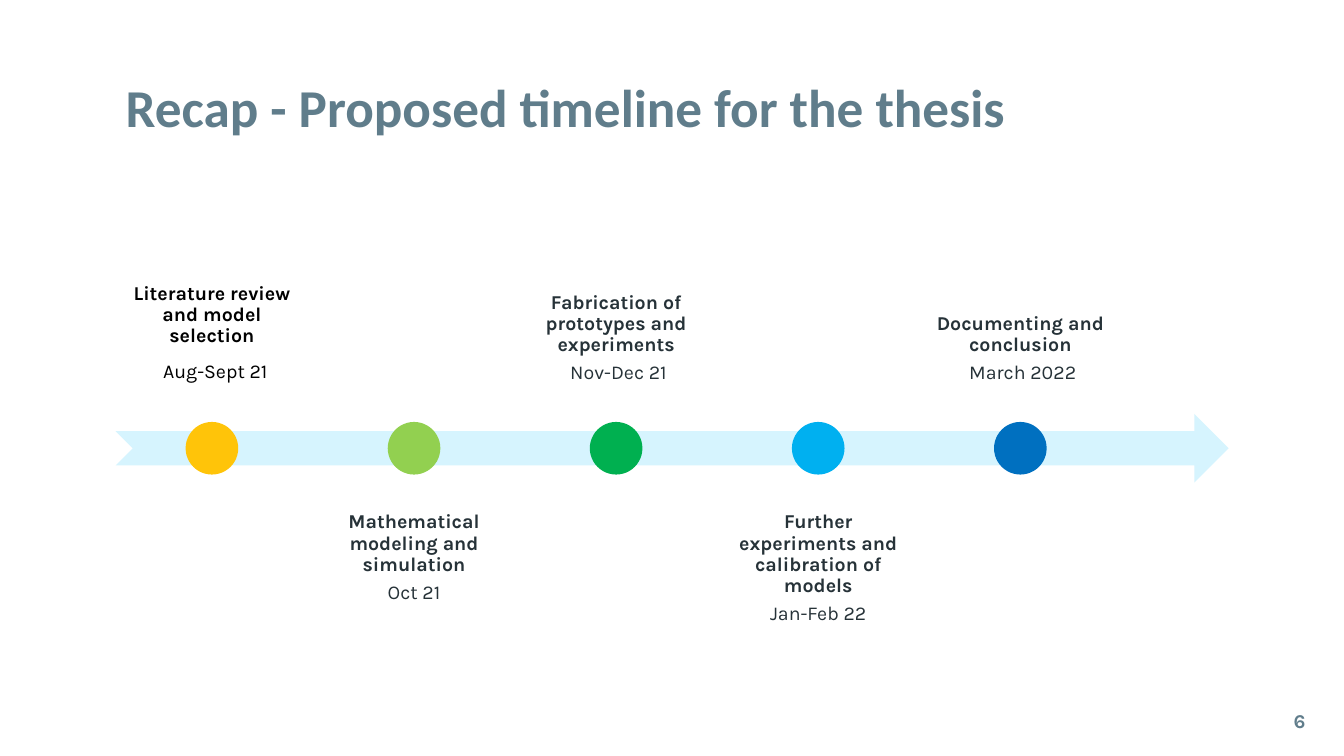
from pptx import Presentation
from pptx.dml.color import RGBColor
from pptx.enum.shapes import MSO_SHAPE as Shape
from pptx.enum.text import MSO_ANCHOR as Anchor, MSO_AUTO_SIZE as AutoSize, PP_ALIGN as Align
from pptx.util import Pt

SLATE = "607D8B"
INK = "263238"
TIMELINE_LEFT, TIMELINE_WIDTH = 82.6, 795
AXIS_Y = 320.2
ARROW_HEIGHT = 49
DOT_SIZE = 37.6
FIRST_CENTER, STEP = 151.4, 144.36
LABEL_WIDTH, LABEL_HEIGHT = 137.5, 149.8
LABEL_ABOVE, LABEL_BELOW = 132.5, 357.8

MILESTONES = [
    ("Literature review and model selection", [(" ", 20), ("Aug-Sept 21", 14)], "FFC409", "000000"),
    ("Mathematical modeling and simulation", [("Oct 21", 14)], "92D050", INK),
    ("Fabrication of prototypes and experiments", [(" Nov-Dec 21", 14)], "00B050", INK),
    ("Further experiments and calibration of models", [("Jan-Feb 22", 14)], "00B0F0", INK),
    ("Documenting and conclusion", [(" March 2022", 14)], "0070C0", INK),
]


def color(hex_code):
    return RGBColor.from_string(hex_code)


def add_run(paragraph, text, size, ink, bold=True, font="Karla"):
    run = paragraph.add_run()
    run.text = text
    run.font.name = font
    run.font.size = Pt(size)
    run.font.bold = bold
    run.font.color.rgb = color(ink)


def format_frame(frame, inset, anchor):
    frame.word_wrap = True
    frame.auto_size = AutoSize.NONE
    frame.vertical_anchor = anchor
    frame.margin_left = frame.margin_right = Pt(inset)
    frame.margin_top = frame.margin_bottom = Pt(inset)


def add_text_frame(slide, left, top, width, height, inset, anchor):
    box = slide.shapes.add_textbox(Pt(left), Pt(top), Pt(width), Pt(height))
    format_frame(box.text_frame, inset, anchor)
    return box.text_frame


def add_filled(slide, kind, left, top, width, height, fill):
    figure = slide.shapes.add_shape(kind, Pt(left), Pt(top), Pt(width), Pt(height))
    figure.shadow.inherit = False
    figure.fill.solid()
    figure.fill.fore_color.rgb = color(fill)
    figure.line.fill.background()


def add_title(slide, text):
    title = slide.shapes.title
    title.left, title.top = Pt(TIMELINE_LEFT), Pt(32.4)
    title.width, title.height = Pt(TIMELINE_WIDTH), Pt(73.4)
    format_frame(title.text_frame, 7.2, Anchor.BOTTOM)
    heading = title.text_frame.paragraphs[0]
    heading.alignment = Align.LEFT
    add_run(heading, text, 38, SLATE, font="Calibri")


def format_label_line(paragraph):
    paragraph.alignment = Align.CENTER
    paragraph.line_spacing = 0.9
    paragraph.space_after = Pt(4.9)


def add_milestone(slide, index, task, date_parts, dot_fill, ink):
    center = FIRST_CENTER + index * STEP
    above = index % 2 == 0
    label = add_text_frame(
        slide, center - LABEL_WIDTH / 2, LABEL_ABOVE if above else LABEL_BELOW,
        LABEL_WIDTH, LABEL_HEIGHT, 7.9, Anchor.BOTTOM if above else Anchor.TOP)
    task_line, date_line = label.paragraphs[0], label.add_paragraph()
    format_label_line(task_line)
    format_label_line(date_line)
    add_run(task_line, task, 14, ink)
    for text, size in date_parts:
        add_run(date_line, text, size, ink, bold=False)
    add_filled(slide, Shape.OVAL, center - DOT_SIZE / 2, AXIS_Y - DOT_SIZE / 2,
               DOT_SIZE, DOT_SIZE, dot_fill)


def add_page_number(slide, number):
    frame = add_text_frame(slide, 882, 499, 57.6, 41, 7.2, Anchor.TOP)
    frame.paragraphs[0].alignment = Align.RIGHT
    add_run(frame.paragraphs[0], number, 14, SLATE)


def main():
    deck = Presentation()
    deck.slide_width, deck.slide_height = Pt(960), Pt(540)
    slide = deck.slides.add_slide(deck.slide_layouts[5])
    add_title(slide, "Recap - Proposed timeline for the thesis")
    add_filled(slide, Shape.NOTCHED_RIGHT_ARROW, TIMELINE_LEFT, AXIS_Y - ARROW_HEIGHT / 2,
               TIMELINE_WIDTH, ARROW_HEIGHT, "D6F4FE")
    for index, milestone in enumerate(MILESTONES):
        add_milestone(slide, index, *milestone)
    add_page_number(slide, "6")
    deck.save("out.pptx")


if __name__ == "__main__":
    main()
